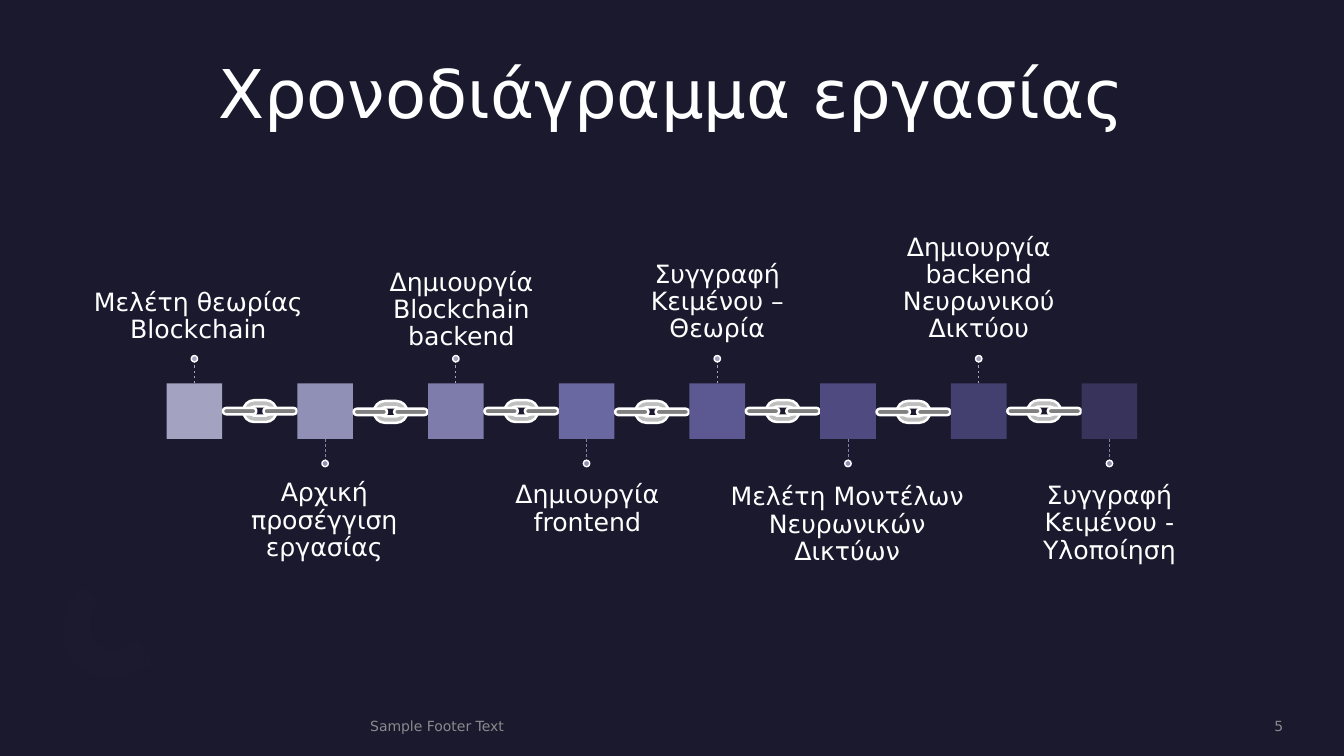
from pptx import Presentation
from pptx.dml.color import RGBColor
from pptx.enum.dml import MSO_LINE
from pptx.enum.shapes import MSO_CONNECTOR, MSO_SHAPE
from pptx.enum.text import MSO_ANCHOR, MSO_AUTO_SIZE, PP_ALIGN
from pptx.oxml import parse_xml
from pptx.oxml.ns import qn
from pptx.util import Cm, Pt

FONT = "DejaVu Sans"
DARK = "1B192E"
WHITE = "FFFFFF"
MUTED = "8A8A8E"
SIDE = 1.4
STEP = 23.06 / 7
HIGH = MSO_ANCHOR.TOP
LOW = MSO_ANCHOR.BOTTOM

STAGES = [
    ("Μελέτη θεωρίας Blockchain", "A3A3C1", 0.1, -2.54, 5.92, 1.93, LOW),
    ("Αρχική προσέγγιση εργασίας", "9090B6", -0.02, 2.06, 5.92, 2.49, HIGH),
    ("Δημιουργία Blockchain backend", "7D7CAB", 0.14, -3.17, 4.55, 2.74, LOW),
    ("Δημιουργία frontend", "6A68A1", 0.02, 1.75, 5.92, 2.49, LOW),
    ("Συγγραφή Κειμένου – Θεωρία", "5C5891", 0, -3.45, 5.92, 2.49, HIGH),
    ("Μελέτη Μοντέλων Νευρωνικών Δικτύων", "4F4B80", -0.02, 2.16, 5.92, 2.49, HIGH),
    ("Δημιουργία backend Νευρωνικού Δικτύου", "433F6E", 0, -3.12, 5.92, 2.49, LOW),
    ("Συγγραφή Κειμένου - Υλοποίηση", "37335B", 0, 2.13, 5.92, 2.49, HIGH),
]

ARC = [
    [(-0.92, 0.93)],
    [(-1.43, 0.42), (-1.38, -0.45), (-0.8, -1.03)],
    [(-0.34, -0.57)],
    [(-0.64, -0.29), (-0.67, 0.17), (-0.41, 0.4)],
    [(-0.16, 0.65), (0.27, 0.63), (0.58, 0.35)],
    [(1.01, 0.8)],
    [(0.45, 1.36), (-0.44, 1.44), (-0.92, 0.93)],
]


def color(code):
    return RGBColor.from_string(code)


def write(frame, text, size=18, tint=WHITE, align=PP_ALIGN.CENTER,
          anchor=HIGH, above=0, below=0, pitch=0.9):
    frame.word_wrap = True
    frame.auto_size = MSO_AUTO_SIZE.NONE
    frame.vertical_anchor = anchor
    frame.margin_left = frame.margin_right = 0
    frame.margin_top, frame.margin_bottom = Cm(above), Cm(below)
    para = frame.paragraphs[0]
    para.alignment = align
    para.line_spacing = pitch
    run = para.add_run()
    run.text = text
    run.font.name = FONT
    run.font.size = Pt(size)
    run.font.color.rgb = color(tint)


def note(slide, box, text, **style):
    area = slide.shapes.add_textbox(*map(Cm, box))
    write(area.text_frame, text, **style)


def paint(shape, fill, edge=None, width=1):
    shape.shadow.inherit = False
    shape.fill.solid()
    shape.fill.fore_color.rgb = color(fill)
    if edge:
        shape.line.color.rgb = color(edge)
        shape.line.width = Pt(width)
    else:
        shape.line.fill.background()


def form(shapes, kind, box, fill, edge=None, width=1):
    shape = shapes.add_shape(kind, *map(Cm, box))
    paint(shape, fill, edge, width)
    return shape


def bend(shape, sizes):
    nodes = iter(list(shape._element.iter(qn("a:lnTo"))))
    for size in sizes:
        first, *rest = [next(nodes) for _ in range(size)]
        if rest:
            first.tag = qn("a:cubicBezTo")
        for node in rest:
            first.append(node[0])
            node.getparent().remove(node)


def trace(shapes, x, y, loops, fill, edge=None, width=1):
    pen = None
    for loop in loops:
        start, *points = [(Cm(x + dx), Cm(y + dy)) for part in loop for dx, dy in part]
        if pen:
            pen.move_to(*start)
        else:
            pen = shapes.build_freeform(*start)
        pen.add_line_segments(points, close=False)
        pen.add_line_segments([], close=True)
    shape = pen.convert_to_shape()
    bend(shape, [len(part) for loop in loops for part in loop[1:]])
    paint(shape, fill, edge, width)


def oval(width, height):
    r = height / 2
    end = width / 2
    flat = end - r
    k = r * 0.55
    return [
        [(-flat, -r)],
        [(flat, -r)],
        [(flat + k, -r), (end, -k), (end, 0)],
        [(end, k), (flat + k, r), (flat, r)],
        [(-flat, r)],
        [(-flat - k, r), (-end, k), (-end, 0)],
        [(-end, -k), (-flat - k, -r), (-flat, -r)],
    ]


def heading(slide, box):
    title = slide.shapes.title
    title.left, title.top, title.width, title.height = map(Cm, box)
    write(title.text_frame, "Χρονοδιάγραμμα εργασίας", size=48)


def accent(slide, x, y):
    for dx, dy in ((0.66, 0.7), (-0.69, -0.67)):
        mark = form(slide.shapes, MSO_SHAPE.OVAL,
                    (x + dx - 0.08, y + dy - 0.33, 0.16, 0.66), "2C284A")
        mark.rotation = 135
    trace(slide.shapes, x, y, [ARC], "1C1A2E")


def chain(slide, x, y):
    link = slide.shapes.add_group_shape().shapes
    trace(link, x + 0.93, y, [oval(0.53, 0.23), oval(0.84, 0.55)],
          "BFBFBF", WHITE, 1.75)
    for dx in (1.02, 0):
        bar = form(link, MSO_SHAPE.ROUNDED_RECTANGLE,
                   (x + dx, y - 0.08, 0.84, 0.16), "808080", WHITE, 1.75)
        bar.adjustments[0] = 0.5


def pin(slide, x, y, way):
    tint, dash = ("A3A3C1", "A3A3C1") if way < 0 else ("9090B6", "8281AE")
    tip = y + way * 0.56
    line = slide.shapes.add_connector(
        MSO_CONNECTOR.STRAIGHT, Cm(x), Cm(y), Cm(x), Cm(tip))
    line.line.color.rgb = color(dash)
    line.line.width = Pt(0.5)
    line.line.dash_style = MSO_LINE.DASH
    line._element.spPr.append(parse_xml(
        '<a:effectLst xmlns:a="http://schemas.openxmlformats.org/drawingml/2006/main"/>'))
    form(slide.shapes, MSO_SHAPE.OVAL,
         (x - 0.08, tip + way * 0.06 - 0.08, 0.16, 0.16), tint, WHITE)


def stage(slide, x, y, way, text, fill, shift, drop, width, height, anchor):
    mid = x + SIDE / 2
    cube = form(slide.shapes, MSO_SHAPE.ROUNDED_RECTANGLE, (x, y, SIDE, SIDE), fill)
    cube.adjustments[0] = 0
    pin(slide, mid, y if way < 0 else y + SIDE, way)
    pad = {"above" if anchor == HIGH else "below": 0.38}
    note(slide, (mid + shift - width / 2, y + drop, width, height), text,
         anchor=anchor, **pad)


def timeline(slide, x, y):
    for i, item in enumerate(STAGES):
        left = x + i * STEP
        odd = i % 2
        stage(slide, left, y, 1 if odd else -1, *item)
        if i < len(STAGES) - 1:
            chain(slide, left + SIDE + 0.02, y + SIDE / 2 + odd * 0.02)


def footer(slide, y):
    style = dict(size=10, tint=MUTED, anchor=MSO_ANCHOR.MIDDLE, pitch=1)
    note(slide, (9.33, y, 17.73, 0.43), "Sample Footer Text",
         align=PP_ALIGN.LEFT, **style)
    note(slide, (27.64, y, 4.7, 0.43), "5", align=PP_ALIGN.RIGHT, **style)


def main():
    deck = Presentation()
    deck.slide_width, deck.slide_height = Cm(33.87), Cm(19.05)
    slide = deck.slides.add_slide(deck.slide_layouts[5])
    slide.background.fill.solid()
    slide.background.fill.fore_color.rgb = color(DARK)
    accent(slide, 2.85, 15.81)
    heading(slide, (1.52, 1.52, 30.81, 3.71))
    timeline(slide, 4.2, 9.66)
    footer(slide, 18.08)
    deck.save("out.pptx")


if __name__ == "__main__":
    main()
